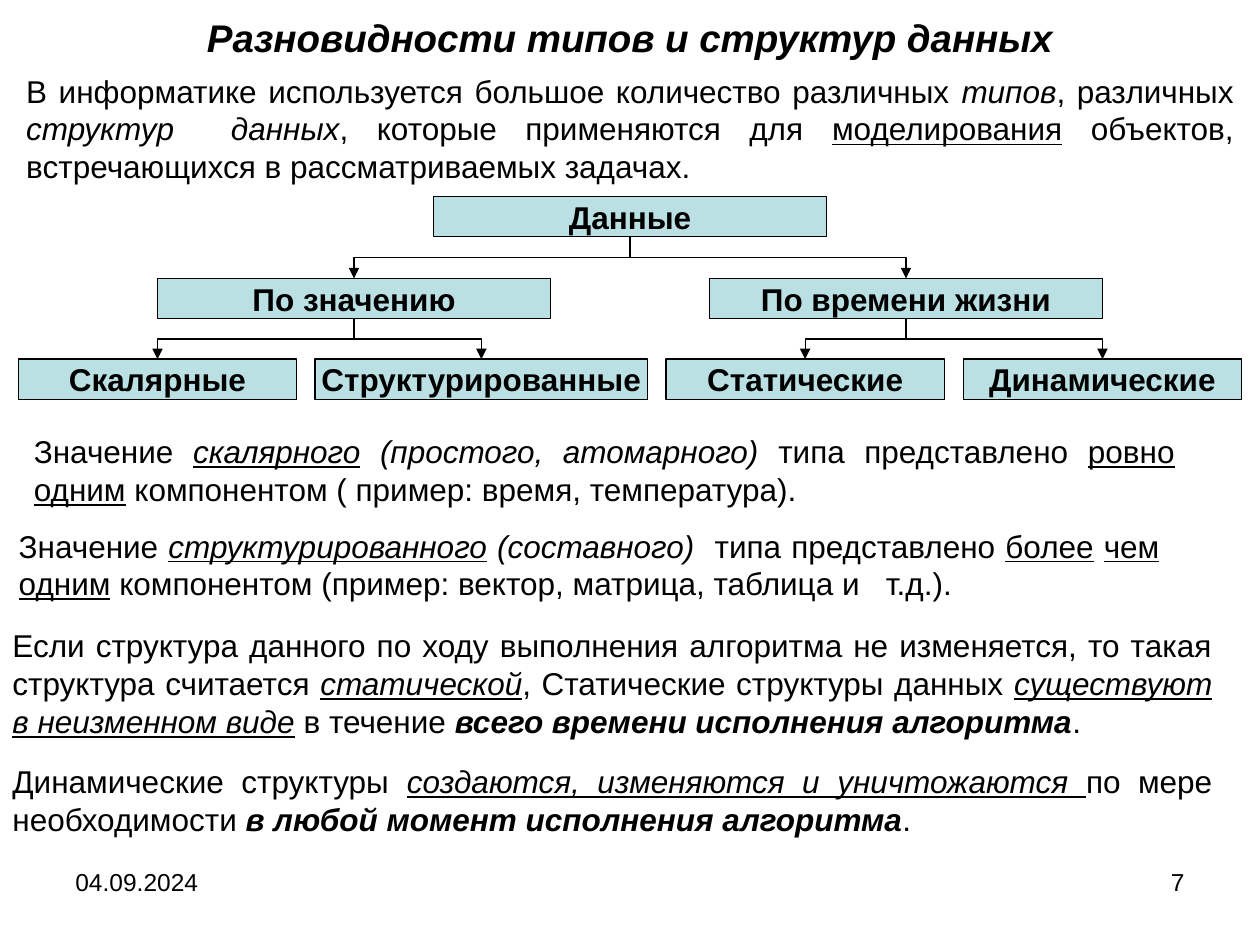
from dataclasses import dataclass

from lxml import etree
from pptx import Presentation
from pptx import util as u
from pptx.dml.color import RGBColor
from pptx.enum import shapes, text
from pptx.oxml import ns

# Grid: 10 columns by 7.5 rows, so one cell is one inch
COLUMNS, ROWS = 10, 7.5
CELL = u.Inches(1)
FONT, BLACK, BOX_FILL = "Arial", "000000", "BBE0E3"
BOX_HEIGHT = 0.32
ALIGN = text.PP_ALIGN


@dataclass
class TextBlock:
    left: float
    top: float
    width: float
    height: float
    runs: list[tuple[str, str]]  # wording and style letters: b, i, u
    size: int = 18
    align: ALIGN = ALIGN.JUSTIFY


@dataclass
class Node:
    label: str
    center: float
    top: float
    width: float
    children: tuple["Node", ...] = ()


def cells(value: float) -> u.Emu:
    return u.Emu(round(value * CELL))


def color(value: str) -> RGBColor:
    return RGBColor.from_string(value)


def add_runs(paragraph, runs: list[tuple[str, str]], size: int) -> None:
    for wording, style in runs:
        run = paragraph.add_run()
        run.text = wording
        font = run.font
        font.name, font.size = FONT, u.Pt(size)
        font.color.rgb = color(BLACK)
        font.bold, font.italic, font.underline = (key in style for key in "biu")


def place(shape, block: TextBlock) -> None:
    shape.left, shape.top = cells(block.left), cells(block.top)
    shape.width, shape.height = cells(block.width), cells(block.height)
    frame = shape.text_frame
    frame.word_wrap = True
    frame.auto_size = text.MSO_AUTO_SIZE.NONE
    frame.vertical_anchor = text.MSO_ANCHOR.TOP
    paragraph = frame.paragraphs[0]
    paragraph.alignment = block.align
    add_runs(paragraph, block.runs, block.size)


def add_box(slide, node: Node):
    shape = slide.shapes.add_shape(
        shapes.MSO_SHAPE.RECTANGLE, cells(node.center - node.width / 2),
        cells(node.top), cells(node.width), cells(BOX_HEIGHT))
    shape.shadow.inherit = False
    shape.fill.solid()
    shape.fill.fore_color.rgb = color(BOX_FILL)
    shape.line.color.rgb = color(BLACK)
    shape.line.width = u.Pt(0.75)
    frame = shape.text_frame
    frame.word_wrap = False
    frame.vertical_anchor = text.MSO_ANCHOR.MIDDLE
    paragraph = frame.paragraphs[0]
    paragraph.alignment = ALIGN.CENTER
    add_runs(paragraph, [(node.label, "b")], 18)
    return shape


def add_branch(slide, parent: Node, child: Node, parent_box, child_box) -> None:
    start = parent.top + BOX_HEIGHT
    drop, shift = child.top - start, child.center - parent.center
    connector = slide.shapes.add_connector(
        shapes.MSO_CONNECTOR.ELBOW, cells(parent.center), cells(start),
        cells(child.center), cells(child.top))
    connector.begin_connect(parent_box, 2)
    connector.end_connect(child_box, 0)
    # A quarter turn makes the elbow leave and arrive vertically
    connector.width, connector.height = cells(drop), cells(abs(shift))
    connector.left = cells((parent.center + child.center - drop) / 2)
    connector.top = cells((start + child.top - abs(shift)) / 2)
    properties = connector._element.spPr
    frame = properties.find(ns.qn("a:xfrm"))
    frame.set("rot", str((270 if shift > 0 else 90) * 60000))
    frame.set("flipH", "1" if shift > 0 else "0")
    frame.set("flipV", "0")
    connector.line.color.rgb = color(BLACK)
    connector.line.width = u.Pt(0.75)
    line = properties.find(ns.qn("a:ln"))
    etree.SubElement(line, ns.qn("a:tailEnd"), type="triangle")
    etree.SubElement(properties, ns.qn("a:effectLst"))


def add_tree(slide, node: Node):
    box = add_box(slide, node)
    for child in node.children:
        add_branch(slide, node, child, box, add_tree(slide, child))
    return box


TITLE = TextBlock(1.38, 0.06, 7.24, 0.47,
                  [("Разновидности типов и структур данных", "bi")], 22, ALIGN.CENTER)

BLOCKS = [
    TextBlock(0.11, 0.52, 9.78, 1, [
        ("В информатике используется большое количество различных ", ""),
        ("типов", "i"), (", различных ", ""), ("структур  данных", "i"),
        (", которые применяются для ", ""), ("моделирования", "u"),
        (" объектов, встречающихся в рассматриваемых задачах. ", "")]),
    TextBlock(0.17, 3.38, 9.25, 0.7, [
        ("Значение ", ""), ("скалярного", "iu"), (" (простого, атомарного) ", "i"),
        ("типа представлено ", ""), ("ровно", "u"), (" ", ""), ("одним", "u"),
        (" компонентом ( пример: время, температура).", "")]),
    TextBlock(0.05, 4.13, 9.25, 0.7, [
        ("Значение ", ""), ("структурированного", "iu"), (" (составного) ", "i"),
        (" типа представлено ", ""), ("более", "u"), (" ", ""), ("чем", "u"),
        (" ", ""), ("одним", "u"),
        (" компонентом (пример: вектор, матрица, таблица и   т.д.).", "")]),
    TextBlock(0, 4.92, 9.72, 1, [
        ("Если структура данного по ходу выполнения алгоритма не изменяется, "
         "то такая структура считается ", ""),
        ("статической", "iu"), (", Статические структуры данных ", ""),
        ("существуют в неизменном виде", "iu"), (" в течение ", ""),
        ("всего времени исполнения алгоритма", "bi"), (". ", "")]),
    TextBlock(0, 6, 9.72, 0.7, [
        ("Динамические структуры ", ""),
        ("создаются, изменяются и уничтожаются ", "iu"),
        ("по мере необходимости ", ""),
        ("в любой момент исполнения алгоритма", "bi"), (". ", "")]),
    # Footer: date and slide number
    TextBlock(0.5, 6.83, 2.33, 0.52, [("04.09.2024", "")], 14, ALIGN.LEFT),
    TextBlock(7.17, 6.83, 2.33, 0.52, [("7", "")], 14, ALIGN.RIGHT),
]

LEVELS = (1.56, 2.21, 2.85)
WIDE, NARROW = 3.12, 2.21
TREE = Node("Данные", COLUMNS / 2, LEVELS[0], WIDE, (
    Node("По значению", 2.81, LEVELS[1], WIDE, (
        Node("Скалярные", 1.25, LEVELS[2], NARROW),
        Node("Структурированные", 3.82, LEVELS[2], 2.64))),
    Node("По времени жизни", 7.19, LEVELS[1], WIDE, (
        Node("Статические", 6.39, LEVELS[2], NARROW),
        Node("Динамические", 8.75, LEVELS[2], NARROW)))))


def main() -> None:
    presentation = Presentation()
    presentation.slide_width, presentation.slide_height = cells(COLUMNS), cells(ROWS)
    slide = presentation.slides.add_slide(presentation.slide_layouts[5])

    # Title and running text
    place(slide.shapes.title, TITLE)
    for block in BLOCKS:
        place(slide.shapes.add_textbox(0, 0, CELL, CELL), block)

    # Classification tree
    add_tree(slide, TREE)
    presentation.save("out.pptx")


if __name__ == "__main__":
    main()
